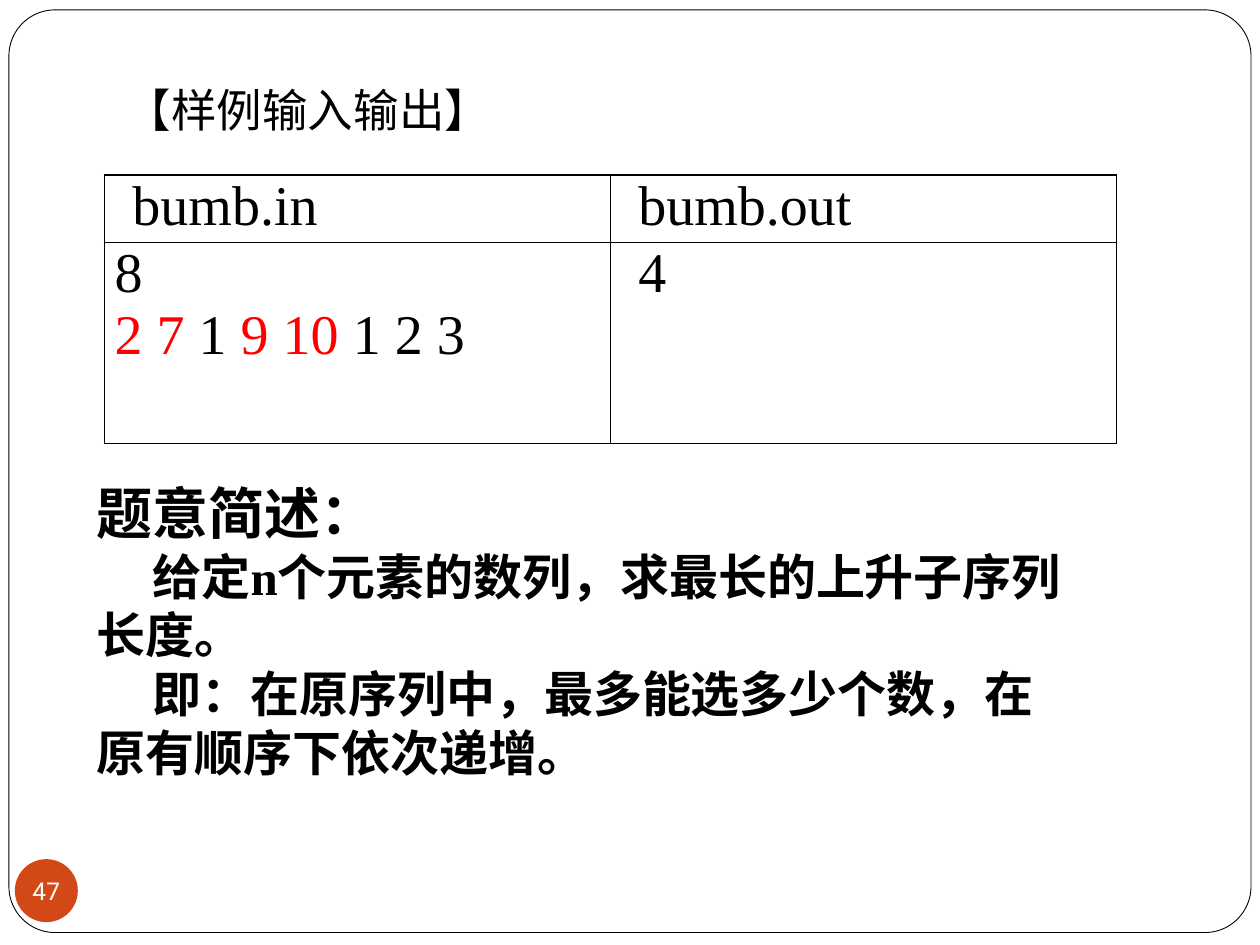
"""Build the sample input and output slide for the longest rising subsequence problem."""
import lxml.etree
import pptx
import pptx.dml.color
import pptx.enum.shapes
import pptx.enum.text
import pptx.oxml.ns
import pptx.util

Cm = pptx.util.Cm
Pt = pptx.util.Pt
qn = pptx.oxml.ns.qn
SERIF = "Times New Roman"


def colour(value):
    return pptx.dml.color.RGBColor.from_string(value)


def write(frame, lines, frame_format):
    for name, value in frame_format.items():
        setattr(frame, name, value)
    for index, (indent, font_format, runs) in enumerate(lines):
        paragraph = frame.add_paragraph() if index else frame.paragraphs[0]
        if indent:
            properties = paragraph._p.get_or_add_pPr()
            properties.set("marL", "0")
            properties.set("indent", str(Cm(indent)))
        for text, text_colour in runs:
            run = paragraph.add_run()
            run.text = text
            run.font.color.rgb = colour(text_colour)
            for name, value in font_format.items():
                setattr(run.font, name, value)


presentation = pptx.Presentation()
presentation.slide_width = Cm(25.4)
presentation.slide_height = Cm(19.05)
slide = presentation.slides.add_slide(presentation.slide_layouts[6])

shape_kinds = pptx.enum.shapes.MSO_SHAPE
frame_shape = slide.shapes.add_shape(
    shape_kinds.ROUNDED_RECTANGLE, Cm(0.18), Cm(0.2), Cm(25.04), Cm(18.6))
frame_shape.adjustments[0] = 0.05
frame_shape.shadow.inherit = False
frame_shape.fill.solid()
frame_shape.fill.fore_color.rgb = colour("FFFFFF")
frame_shape.line.color.rgb = colour("000000")
frame_shape.line.width = Pt(0.5)

number_badge = slide.shapes.add_shape(
    shape_kinds.OVAL, Cm(0.3), Cm(17.32), Cm(1.27), Cm(1.27))
number_badge.shadow.inherit = False
number_badge.fill.solid()
number_badge.fill.fore_color.rgb = colour("D34817")
number_badge.line.fill.background()
write(number_badge.text_frame,
      [(0, {"size": Pt(14), "name": "Roboto"}, [("47", "FFFFFF")])],
      {"margin_left": 0, "margin_right": 0, "margin_top": 0, "margin_bottom": 0,
       "word_wrap": False, "vertical_anchor": pptx.enum.text.MSO_ANCHOR.MIDDLE})
number_badge.text_frame.paragraphs[0].alignment = pptx.enum.text.PP_ALIGN.CENTER

heading = slide.shapes.add_textbox(Cm(2.29), Cm(1.52), Cm(21.59), Cm(3.4))
write(heading.text_frame,
      [(0, {"size": Pt(26), "name": SERIF}, [("【样例输入输出】", "000000")])],
      {"word_wrap": True})

sample_font = {"size": Pt(32), "name": SERIF}
sample_rows = [
    [[(0.36, sample_font, [("bumb.in", "000000")])],
     [(0.36, sample_font, [("bumb.out", "000000")])]],
    [[(0, sample_font, [("8", "000000")]),
      (0, sample_font, [("2 7", "FF0000"), (" 1 ", "000000"),
                        ("9 10 ", "FF0000"), ("1 2 3", "000000")])],
     [(0.36, sample_font, [("4", "000000")])]],
]
table = slide.shapes.add_table(2, 2, Cm(2.11), Cm(3.53), Cm(20.4), Cm(5.41)).table
table.first_row = False
table.horz_banding = False
for column in table.columns:
    column.width = Cm(10.2)
for row, height in zip(table.rows, (1.35, 4.06)):
    row.height = Cm(height)
for row, row_lines in zip(table.rows, sample_rows):
    for cell, lines in zip(row.cells, row_lines):
        for name, value in {"margin_left": Cm(0.2), "margin_right": Cm(0.2),
                            "margin_top": 0, "margin_bottom": 0}.items():
            setattr(cell, name, value)
        cell.fill.background()
        write(cell.text_frame, lines, {"word_wrap": True})
        cell_properties = cell._tc.get_or_add_tcPr()
        for position, side in enumerate(("lnL", "lnR", "lnT", "lnB")):
            border = lxml.etree.Element(qn(f"a:{side}"), w=str(Pt(1)))
            fill = lxml.etree.SubElement(border, qn("a:solidFill"))
            lxml.etree.SubElement(fill, qn("a:srgbClr"), val="000000")
            cell_properties.insert(position, border)

summary = slide.shapes.add_textbox(Cm(1.7), Cm(9.53), Cm(20.02), Cm(6.4))
summary_lines = [
    (0, 32, "题意简述："),
    (1.13, 28, "给定n个元素的数列，求最长的上升子序列长度。"),
    (1.13, 28, "即：在原序列中，最多能选多少个数，在原有顺序下依次递增。"),
]
write(summary.text_frame,
      [(indent, {"size": Pt(size), "name": SERIF, "bold": True}, [(text, "000000")])
       for indent, size, text in summary_lines],
      {"word_wrap": True, "auto_size": pptx.enum.text.MSO_AUTO_SIZE.SHAPE_TO_FIT_TEXT})

presentation.save("out.pptx")
